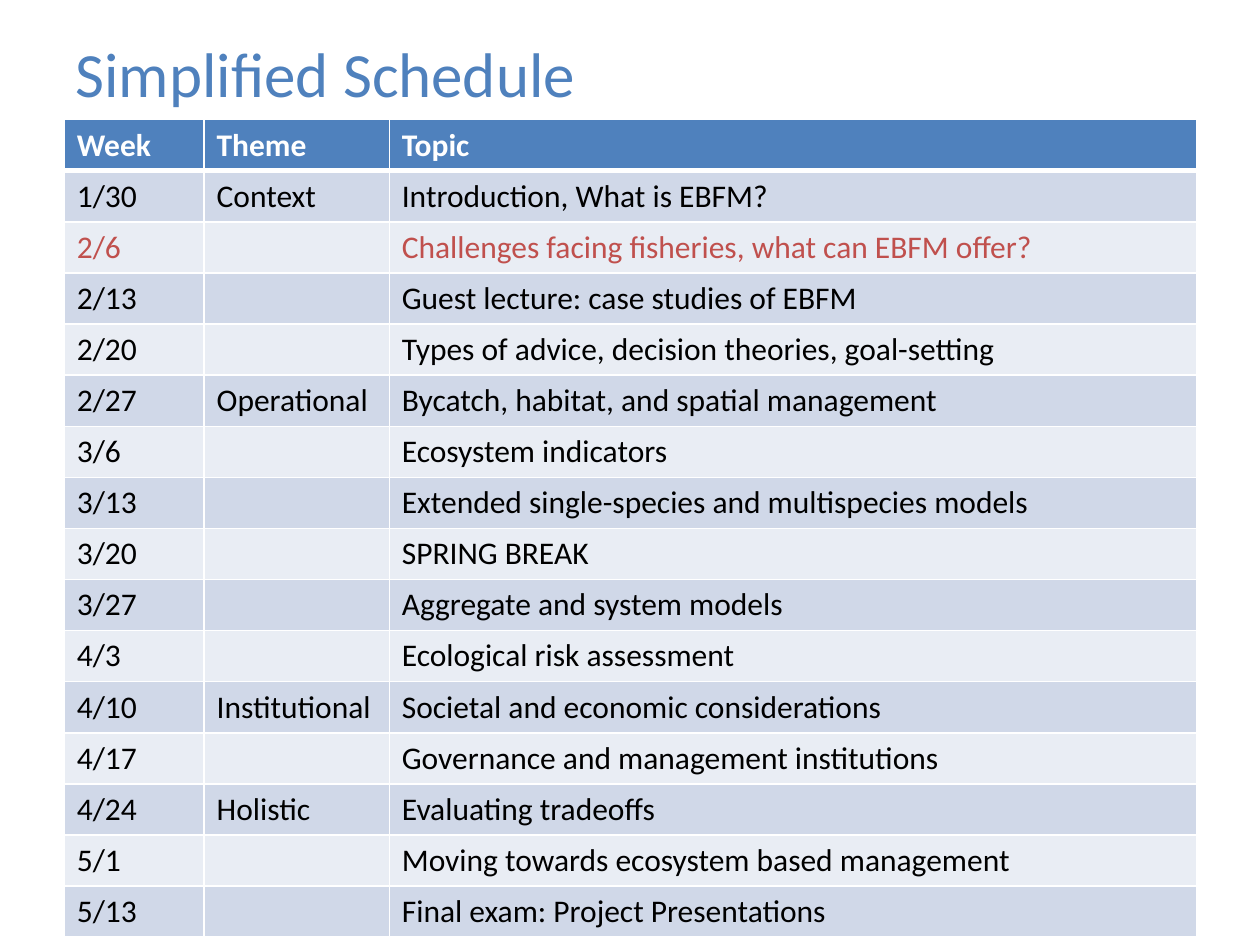
import lxml.etree
import pptx
import pptx.dml.color
import pptx.enum.text
import pptx.oxml.ns
import pptx.util

Inches = pptx.util.Inches

TITLE = "Simplified Schedule"
HEADER = ("Week", "Theme", "Topic")
SCHEDULE = [
    ("1/30", "Context", "Introduction, What is EBFM?"),
    ("2/6", "", "Challenges facing fisheries, what can EBFM offer?"),
    ("2/13", "", "Guest lecture: case studies of EBFM"),
    ("2/20", "", "Types of advice, decision theories, goal-setting"),
    ("2/27", "Operational", "Bycatch, habitat, and spatial management"),
    ("3/6", "", "Ecosystem indicators"),
    ("3/13", "", "Extended single-species and multispecies models"),
    ("3/20", "", "SPRING BREAK"),
    ("3/27", "", "Aggregate and system models"),
    ("4/3", "", "Ecological risk assessment"),
    ("4/10", "Institutional", "Societal and economic considerations"),
    ("4/17", "", "Governance and management institutions"),
    ("4/24", "Holistic", "Evaluating tradeoffs"),
    ("5/1", "", "Moving towards ecosystem based management"),
    ("5/13", "", "Final exam: Project Presentations"),
]
CURRENT_WEEK = "2/6"

THEME = {
    "font": "Calibri", "title_size": 36, "table_size": 18,
    "accent": "4F81BD", "bands": ("D0D8E8", "E9EDF4"),
    "text": "000000", "highlight": "C0504D", "white": "FFFFFF",
    "border": 1, "header_border": 3,
}
TITLE_BOX = (0.5, 0.2, 9, 0.75)
TABLE_BOX = (0.51, 0.95, 8.99, 6.49)
COLUMN_WIDTHS = (1.11, 1.47, 6.41)


def rgb(color):
    return pptx.dml.color.RGBColor.from_string(color)


def style_text(text_frame, size, color, bold=False):
    for paragraph in text_frame.paragraphs:
        for run in paragraph.runs:
            run.font.name = THEME["font"]
            run.font.size = pptx.util.Pt(size)
            run.font.bold = bold
            run.font.color.rgb = rgb(color)


def add_border(cell, side, width):
    """Draw one side (L, R, T or B) of a cell; call before setting its fill."""
    qn = pptx.oxml.ns.qn
    line = lxml.etree.SubElement(cell._tc.get_or_add_tcPr(), qn(f"a:ln{side}"),
                                 w=str(pptx.util.Pt(width)))
    fill = lxml.etree.SubElement(line, qn("a:solidFill"))
    lxml.etree.SubElement(fill, qn("a:srgbClr"), val=THEME["white"])


def add_title(slide):
    title = slide.shapes.title
    title.left, title.top, title.width, title.height = map(Inches, TITLE_BOX)
    title.text_frame.text = TITLE
    title.text_frame.vertical_anchor = pptx.enum.text.MSO_ANCHOR.MIDDLE
    title.text_frame.paragraphs[0].alignment = pptx.enum.text.PP_ALIGN.LEFT
    style_text(title.text_frame, THEME["title_size"], THEME["accent"])


def add_schedule(slide):
    rows = [HEADER, *SCHEDULE]
    table = slide.shapes.add_table(len(rows), len(HEADER), *map(Inches, TABLE_BOX)).table
    for column, width in zip(table.columns, COLUMN_WIDTHS):
        column.width = Inches(width)
    for row_index, values in enumerate(rows):
        is_header = row_index == 0
        if is_header:
            fill, color = THEME["accent"], THEME["white"]
        else:
            fill = THEME["bands"][(row_index - 1) % 2]
            color = THEME["highlight" if values[0] == CURRENT_WEEK else "text"]
        top = THEME["header_border" if row_index == 1 else "border"]
        bottom = THEME["header_border" if is_header else "border"]
        for column_index, value in enumerate(values):
            cell = table.cell(row_index, column_index)
            for side, width in zip("LRTB", (THEME["border"], THEME["border"], top, bottom)):
                add_border(cell, side, width)
            cell.fill.solid()
            cell.fill.fore_color.rgb = rgb(fill)
            if value:
                cell.text_frame.text = value
                style_text(cell.text_frame, THEME["table_size"], color, bold=is_header)


def main():
    presentation = pptx.Presentation()
    presentation.slide_width, presentation.slide_height = Inches(10), Inches(7.5)
    slide = presentation.slides.add_slide(presentation.slide_layouts.get_by_name("Title Only"))
    add_title(slide)
    add_schedule(slide)
    presentation.save("out.pptx")


if __name__ == "__main__":
    main()
